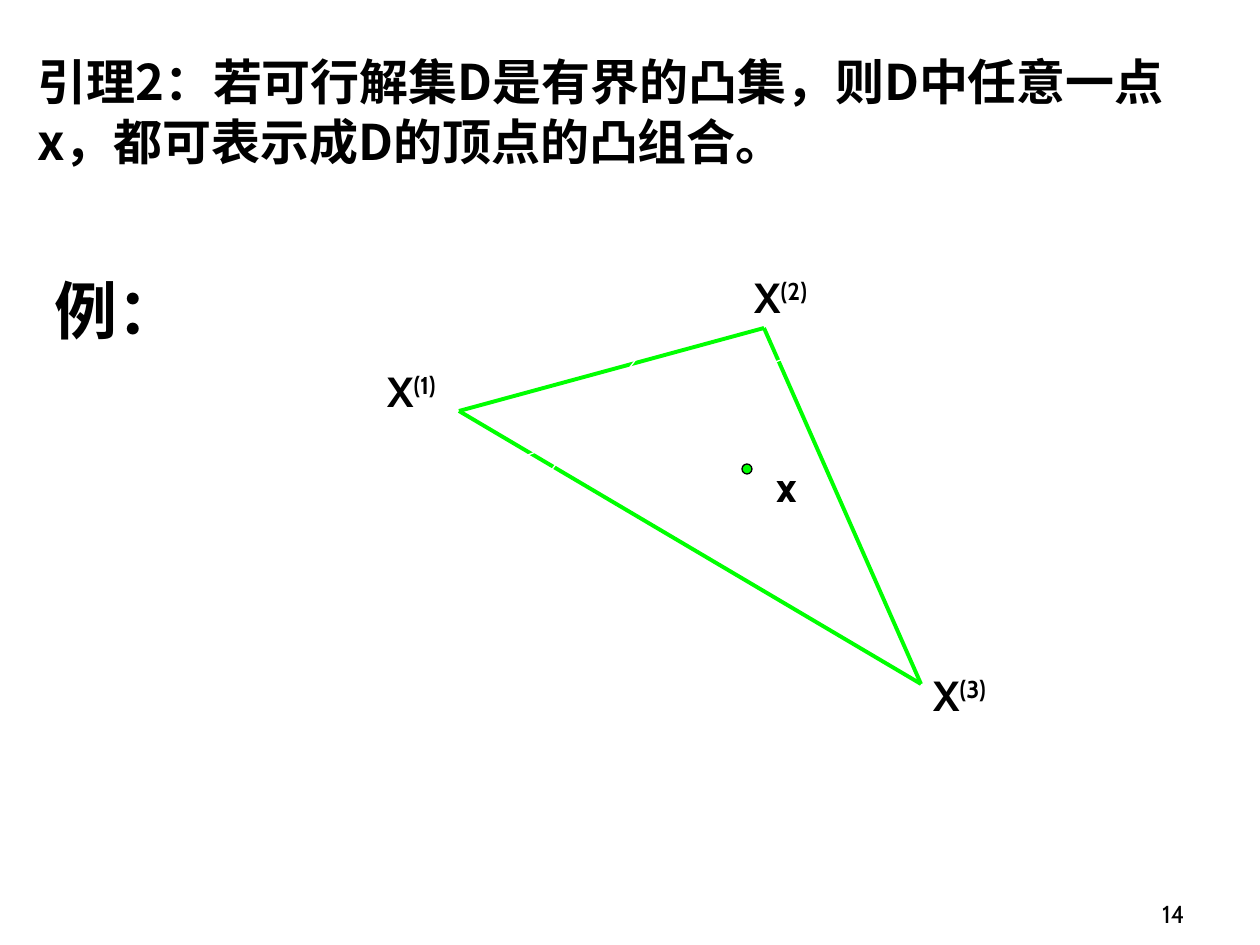
from lxml import etree
from pptx import Presentation
from pptx.dml.color import RGBColor
from pptx.enum.shapes import MSO_CONNECTOR, MSO_SHAPE
from pptx.enum.text import MSO_ANCHOR, PP_ALIGN
from pptx.oxml.ns import qn
from pptx.util import Emu, Pt

BLACK = RGBColor(0x00, 0x00, 0x00)
WHITE = RGBColor(0xFF, 0xFF, 0xFF)
GREEN = RGBColor(0x00, 0xFF, 0x00)
LATIN, CJK = "Cabin", "Noto Sans CJK SC"


def px(n):
    return Emu(round(n * 914400 / 126))


def add_text(s, box, text, size, font=LATIN, bold=True, superscript=""):
    """Add a one-paragraph text box, with an optional raised ending."""
    tf = s.shapes.add_textbox(*map(px, box)).text_frame
    tf.word_wrap = True
    p = tf.paragraphs[0]
    p.font.size, p.font.bold, p.font.name = Pt(size), bold, font
    p.font.color.rgb = BLACK
    for part in filter(None, (text, superscript)):
        r = p.add_run()
        r.text = part
        r.font.size, r.font.bold, r.font.name = Pt(size), bold, font
        r.font.color.rgb = BLACK
        rPr = r._r.get_or_add_rPr()
        etree.SubElement(rPr, qn("a:ea")).set("typeface", font)
        if part == superscript:
            rPr.set("baseline", "30000")
    return tf


prs = Presentation()
prs.slide_width, prs.slide_height = px(1260), px(945)
s = prs.slides.add_slide(prs.slide_layouts[6])

add_text(s, (42, 265, 231, 88), "例：", 36)

# Triangle, then the white arrows that cross its sides
v1, v2, v3 = (459, 411), (764, 328), (921, 684)
origin = (357, 725)
sides = [(v1, v2), (v2, v3), (v1, v3)]
arrows = [(origin, (494, 231)), ((323, 532), (911, 311)), (origin, (798, 147))]
for start, end in sides + arrows:
    is_arrow = (start, end) in arrows
    line = s.shapes.add_connector(MSO_CONNECTOR.STRAIGHT, *map(px, start + end))
    line.line.color.rgb = WHITE if is_arrow else GREEN
    line.line.width = Pt(0.75 if is_arrow else 2.25)
    if is_arrow:
        tail = etree.SubElement(line.line._get_or_add_ln(), qn("a:tailEnd"))
        tail.set("type", "triangle")
    etree.SubElement(line._element.spPr, qn("a:effectLst"))

# Vertex labels
for i, (x, y) in enumerate([(375, 359), (742, 265), (921, 663)], 1):
    add_text(s, (x, y, 116, 63), "X", 24, superscript=f"({i})")

# Inner point
dot = s.shapes.add_shape(MSO_SHAPE.OVAL, px(742), px(464), px(10), px(10))
dot.shadow.inherit = False
dot.fill.solid()
dot.fill.fore_color.rgb = GREEN
dot.line.color.rgb = BLACK
dot.line.width = Pt(0.75)
add_text(s, (764, 454, 42, 63), "x", 24)

# Lemma
tf = add_text(s, (25, 45, 1201, 131),
              "引理2：若可行解集D是有界的凸集，则D中任意一点x，都可表示成D的顶点的凸组合。",
              28, font=CJK)
tf.paragraphs[0].line_spacing = Pt(34)

# Page number
tf = add_text(s, (935, 872, 262, 63), "14", 14, bold=False)
tf.vertical_anchor = MSO_ANCHOR.BOTTOM
tf.paragraphs[0].alignment = PP_ALIGN.RIGHT

prs.save("out.pptx")
